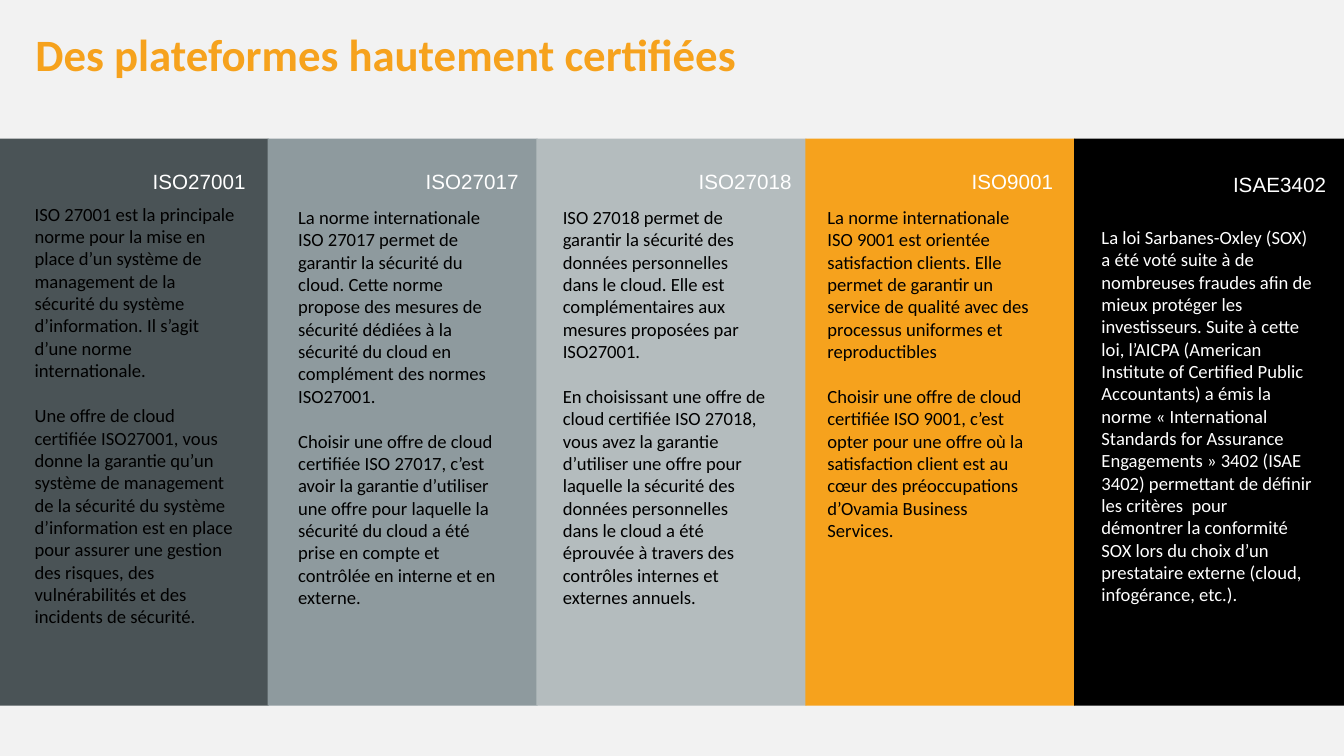
"""Build the slide on certified platforms."""
from pptx import Presentation
from pptx.dml.color import RGBColor
from pptx.enum.shapes import MSO_SHAPE
from pptx.enum.text import MSO_ANCHOR, MSO_AUTO_SIZE, PP_ALIGN
from pptx.util import Pt

PX = 9525
COLUMN_STEP = 256
LABEL_WIDTH = 110

COLUMNS = [
    dict(label="ISO27001", fill="4A5356", color="000000",
         label_right=234, label_top=161, body=(33, 193, 193, 452), texts=[
             "ISO 27001 est la principale norme pour la mise en place d’un système de "
             "management de la sécurité du système d’information. Il s’agit d’une norme "
             "internationale.",
             "Une offre de cloud certifiée ISO27001, vous donne la garantie qu’un système "
             "de management de la sécurité du système d’information est en place pour "
             "assurer une gestion des risques, des vulnérabilités et des incidents de "
             "sécurité."]),
    dict(label="ISO27017", fill="8E9A9E", color="000000",
         label_right=494, label_top=161, body=(284, 196, 193, 409), texts=[
             "La norme internationale ISO 27017 permet de garantir la sécurité du cloud. "
             "Cette norme propose des mesures de sécurité dédiées à la sécurité du cloud "
             "en complément des normes ISO27001.",
             "Choisir une offre de cloud certifiée ISO 27017, c’est avoir la garantie "
             "d’utiliser une offre pour laquelle la sécurité du cloud a été prise en "
             "compte et contrôlée en interne et en externe."]),
    dict(label="ISO27018", fill="B4BCBE", color="000000",
         label_right=754, label_top=161, body=(536, 196, 195, 409), texts=[
             "ISO 27018 permet de garantir la sécurité des données personnelles dans le "
             "cloud. Elle est complémentaires aux mesures proposées par ISO27001.",
             "En choisissant une offre de cloud certifiée ISO 27018, vous avez la garantie "
             "d’utiliser une offre pour laquelle la sécurité des données personnelles dans "
             "le cloud a été éprouvée à travers des contrôles internes et externes "
             "annuels."]),
    dict(label="ISO9001", fill="F6A21D", color="000000",
         label_right=1003, label_top=161, body=(788, 196, 193, 388), texts=[
             "La norme internationale ISO 9001 est orientée satisfaction clients. Elle "
             "permet de garantir un service de qualité avec des processus uniformes et "
             "reproductibles",
             "Choisir une offre de cloud certifiée ISO 9001, c’est opter pour une offre où "
             "la satisfaction client est au cœur des préoccupations d’Ovamia Business "
             "Services."]),
    dict(label="ISAE3402", fill="000000", color="FFFFFF",
         label_right=1263, label_top=164, body=(1049, 215, 202, 409), texts=[
             "La loi Sarbanes-Oxley (SOX) a été voté suite à de nombreuses fraudes afin de "
             "mieux protéger les investisseurs. Suite à cette loi, l’AICPA (American "
             "Institute of Certified Public Accountants) a émis la norme « International "
             "Standards for Assurance Engagements » 3402 (ISAE 3402) permettant de définir "
             "les critères  pour démontrer la conformité SOX lors du choix d’un "
             "prestataire externe (cloud, infogérance, etc.)."]),
]


def rgb(value):
    return RGBColor.from_string(value)


class Deck:
    def __init__(self):
        self.prs = Presentation()
        self.prs.slide_width, self.prs.slide_height = 1280 * PX, 720 * PX
        self.s = self.prs.slides.add_slide(self.prs.slide_layouts[5])
        self.s.background.fill.solid()
        self.s.background.fill.fore_color.rgb = rgb("F2F2F2")

    def font(self, p, name, size, color, bold=False):
        p.font.name, p.font.size, p.font.bold = name, Pt(size), bold
        p.font.color.rgb = rgb(color)

    def title(self, text, x, y, w, h):
        sp = self.s.shapes.title
        sp.left, sp.top, sp.width, sp.height = [v * PX for v in (x, y, w, h)]
        tf = sp.text_frame
        tf.text = text
        tf.auto_size = MSO_AUTO_SIZE.NONE
        tf.vertical_anchor = MSO_ANCHOR.TOP
        p = tf.paragraphs[0]
        p.alignment = PP_ALIGN.LEFT
        self.font(p, "Calibri", 32, "F6A21D", True)

    def panel(self, x, y, w, h, fill):
        sp = self.s.shapes.add_shape(MSO_SHAPE.RECTANGLE, *[v * PX for v in (x, y, w, h)])
        sp.shadow.inherit = False
        sp.fill.solid()
        sp.fill.fore_color.rgb = rgb(fill)
        sp.line.fill.background()

    def text(self, x, y, w, h, texts, name, size, color, align=PP_ALIGN.LEFT):
        tf = self.s.shapes.add_textbox(*[v * PX for v in (x, y, w, h)]).text_frame
        tf.margin_left = tf.margin_right = tf.margin_top = tf.margin_bottom = 0
        tf.word_wrap = True
        tf.auto_size = MSO_AUTO_SIZE.SHAPE_TO_FIT_TEXT
        for i, text in enumerate(texts):
            p = tf.add_paragraph() if i else tf.paragraphs[0]
            p.text = text
            p.alignment = align
            if i:
                p.space_before = Pt(16.2)
            self.font(p, name, size, color)


def main():
    deck = Deck()
    for i, col in enumerate(COLUMNS):
        deck.panel(i * COLUMN_STEP - 1, 132, COLUMN_STEP + 1, 540, col["fill"])
        deck.text(col["label_right"] - LABEL_WIDTH, col["label_top"], LABEL_WIDTH, 24,
                  [col["label"]], "Arial", 14.7, "FFFFFF", PP_ALIGN.RIGHT)
        deck.text(*col["body"], col["texts"], "Calibri", 13.3, col["color"])
    deck.title("Des plateformes hautement certifiées", 24, 21, 780, 61)
    deck.prs.save("out.pptx")


if __name__ == "__main__":
    main()
